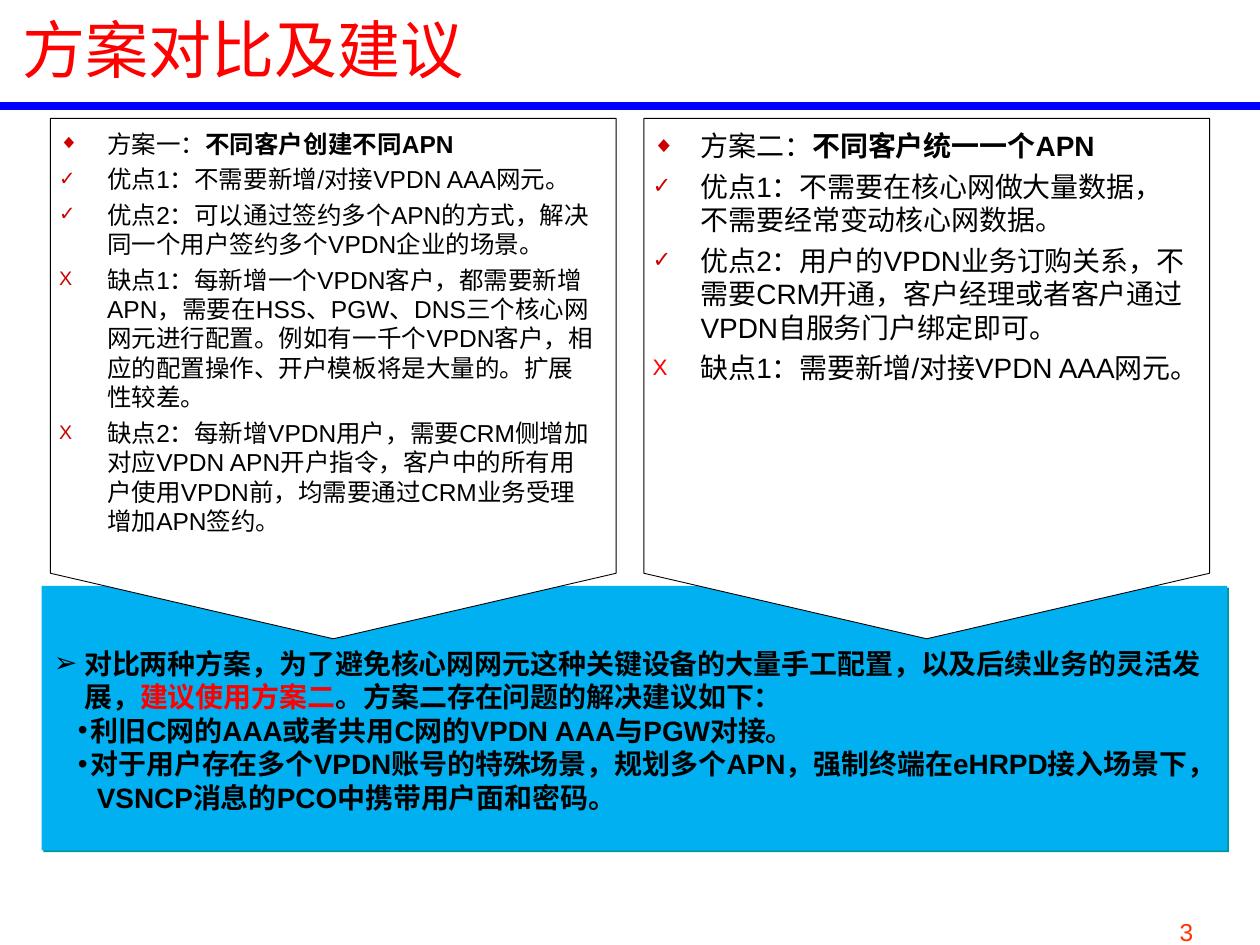
from lxml import etree
from pptx import Presentation
from pptx.dml.color import RGBColor
from pptx.enum import shapes, text
from pptx.oxml import ns
from pptx.util import Inches, Pt

COLORS = {"blue": "0000FF", "red": "FF0000", "bullet": "CC0000", "black": "000000",
          "white": "FFFFFF", "sky": "00B0F0", "teal": "009999", "number": "FF3300"}
LATIN, CJK = "Arial", "Noto Sans CJK SC"

# Content: each paragraph is (bullet, bullet colour, runs); a run is (text, style)
TITLE = "方案对比及建议"
PAGE = "3"
BOLD, LABEL = {"bold": True}, {"face": CJK}
PLANS = [
    {"size": 14, "before": 3.5, "height": 3.23, "points": [
        ("◆", "bullet", [("方案一：", LABEL), ("不同客户创建不同APN", BOLD)]),
        ("✓", "bullet", [("优点1：不需要新增/对接VPDN AAA网元。", {})]),
        ("✓", "bullet", [("优点2：可以通过签约多个APN的方式，解决同一个用户签约多个VPDN企业的场景。", {})]),
        ("X", "bullet", [("缺点1：每新增一个VPDN客户，都需要新增APN，需要在HSS、PGW、DNS三个核心网网元"
                          "进行配置。例如有一千个VPDN客户，相应的配置操作、开户模板将是大量的。扩展性较差。", {})]),
        ("X", "bullet", [("缺点2：每新增VPDN用户，需要CRM侧增加对应VPDN APN开户指令，客户中的所有用户"
                          "使用VPDN前，均需要通过CRM业务受理增加APN签约。", {})]),
    ]},
    {"size": 16, "before": 4, "height": 2.3, "points": [
        ("◆", "bullet", [("方案二：", LABEL), ("不同客户统一一个APN", BOLD)]),
        ("✓", "bullet", [("优点1：不需要在核心网做大量数据，不需要经常变动核心网数据。", {})]),
        ("✓", "bullet", [("优点2：用户的VPDN业务订购关系，不需要CRM开通，客户经理或者客户通过VPDN"
                          "自服务门户绑定即可。", {})]),
        ("X", "red", [("缺点1：需要新增/对接VPDN AAA网元。", {})]),
    ]},
]
ADVICE = [
    ("➢", "black", [("对比两种方案，为了避免核心网网元这种关键设备的大量手工配置，以及后续业务的灵活发展，", BOLD),
                    ("建议使用方案二", {"bold": True, "color": "red"}),
                    ("。方案二存在问题的解决建议如下：", BOLD)]),
    ("•", "black", [("利旧C网的AAA或者共用C网的VPDN AAA与PGW对接。", BOLD)]),
    ("•", "black", [("对于用户存在多个VPDN账号的特殊场景，规划多个APN，强制终端在eHRPD接入场景下，"
                     " VSNCP消息的PCO中携带用户面和密码。", BOLD)]),
]
ADVICE_INDENTS = {"➢": (0.24, -0.24), "•": (0.29, -0.1)}

# Layout
PANEL_LEFT, PANEL_STEP, PANEL_WIDTH = 0.4, 4.71, 4.49
PANEL_TOP, SHOULDER, TIP = 0.94, 4.55, 5.07
LIST_INSET, LIST_TOP, LIST_WIDTH = 0.07, 1.02, 4.27


def rgb(name):
    return RGBColor.from_string(COLORS[name])


def place(shape, left, top, width, height):
    shape.left, shape.top = Inches(left), Inches(top)
    shape.width, shape.height = Inches(width), Inches(height)


def set_frame(frame, side=0.1, end=0.05, anchor=text.MSO_ANCHOR.TOP):
    frame.word_wrap = True
    frame.auto_size = text.MSO_AUTO_SIZE.NONE
    frame.vertical_anchor = anchor
    frame.margin_left = frame.margin_right = Inches(side)
    frame.margin_top = frame.margin_bottom = Inches(end)


def add_run(paragraph, words, size, color="black", face=LATIN, bold=False):
    run = paragraph.add_run()
    run.text = words
    run.font.size, run.font.bold, run.font.name = Pt(size), bold, face
    run.font.color.rgb = rgb(color)


def set_bullet(paragraph, char, color, percent, margin, indent):
    props = paragraph._p.get_or_add_pPr()
    props.set("marL", str(Inches(margin)))
    props.set("indent", str(Inches(indent)))
    tint = etree.SubElement(props, ns.qn("a:buClr"))
    etree.SubElement(tint, ns.qn("a:srgbClr"), val=COLORS[color])
    etree.SubElement(props, ns.qn("a:buSzPct"), val=str(percent * 1000))
    etree.SubElement(props, ns.qn("a:buFont"), typeface=LATIN)
    etree.SubElement(props, ns.qn("a:buChar"), char=char)


def fill_list(frame, points, size, before, percent, indents):
    for i, (char, color, runs) in enumerate(points):
        paragraph = frame.add_paragraph() if i else frame.paragraphs[0]
        paragraph.space_before = Pt(before if i else 0)
        set_bullet(paragraph, char, color, percent, *indents[char])
        for words, style in runs:
            add_run(paragraph, words, size, **style)


def add_panel(slide, left):
    right = left + PANEL_WIDTH
    outline = [(right, PANEL_TOP), (right, SHOULDER), (left + PANEL_WIDTH / 2, TIP), (left, SHOULDER)]
    builder = slide.shapes.build_freeform(Inches(left), Inches(PANEL_TOP))
    builder.add_line_segments([(Inches(x), Inches(y)) for x, y in outline], close=True)
    panel = builder.convert_to_shape()
    panel.shadow.inherit = False
    panel.fill.solid()
    panel.fill.fore_color.rgb = rgb("white")
    panel.line.color.rgb = rgb("black")
    panel.line.width = Pt(0.5)


def main():
    deck = Presentation()
    deck.slide_width, deck.slide_height = Inches(10), Inches(7.5)
    slide = deck.slides.add_slide(deck.slide_layouts[3])
    title, *plan_lists = slide.placeholders

    # Title and rule
    place(title, 0.08, 0, 8.31, 0.76)
    set_frame(title.text_frame, anchor=text.MSO_ANCHOR.MIDDLE)
    heading = title.text_frame.paragraphs[0]
    heading.alignment = text.PP_ALIGN.LEFT
    add_run(heading, TITLE, 36, "red")
    rule = slide.shapes.add_connector(shapes.MSO_CONNECTOR.STRAIGHT, 0, Inches(0.84), Inches(10), Inches(0.84))
    rule.line.color.rgb = rgb("blue")
    rule.line.width = Pt(4.5)
    etree.SubElement(rule._element.spPr, ns.qn("a:effectLst"))

    # Advice background with its thin shadow
    band = slide.shapes.add_shape(shapes.MSO_SHAPE.RECTANGLE, Inches(0.33), Inches(4.65), Inches(9.41), Inches(2.1))
    band.fill.solid()
    band.fill.fore_color.rgb = rgb("sky")
    band.line.fill.background()
    effects = etree.SubElement(band._element.spPr, ns.qn("a:effectLst"))
    shadow = etree.SubElement(effects, ns.qn("a:outerShdw"), dist=str(Pt(1.4)), dir=str(45 * 60000))
    etree.SubElement(shadow, ns.qn("a:srgbClr"), val=COLORS["teal"])

    # Plans: arrow panel, then its list moved in front of it
    plan_indents = dict.fromkeys("◆✓X", (0.38, -0.38))
    for i, (plan, plan_list) in enumerate(zip(PLANS, plan_lists)):
        left = PANEL_LEFT + i * PANEL_STEP
        add_panel(slide, left)
        place(plan_list, left + LIST_INSET, LIST_TOP, LIST_WIDTH, plan["height"])
        slide.shapes._spTree.append(plan_list._element)
        set_frame(plan_list.text_frame, side=0, end=0)
        fill_list(plan_list.text_frame, plan["points"], plan["size"], plan["before"], 80, plan_indents)

    # Advice
    advice = slide.shapes.add_textbox(Inches(0.33), Inches(5.08), Inches(9.34), Inches(1.44))
    set_frame(advice.text_frame)
    fill_list(advice.text_frame, ADVICE, 16, 0, 100, ADVICE_INDENTS)

    # Page number
    number = slide.shapes.add_textbox(Inches(7.54), Inches(7.23), Inches(2.08), Inches(0.24))
    set_frame(number.text_frame, side=0.15)
    number.text_frame.paragraphs[0].alignment = text.PP_ALIGN.RIGHT
    add_run(number.text_frame.paragraphs[0], PAGE, 14, "number")

    deck.save("out.pptx")


if __name__ == "__main__":
    main()
